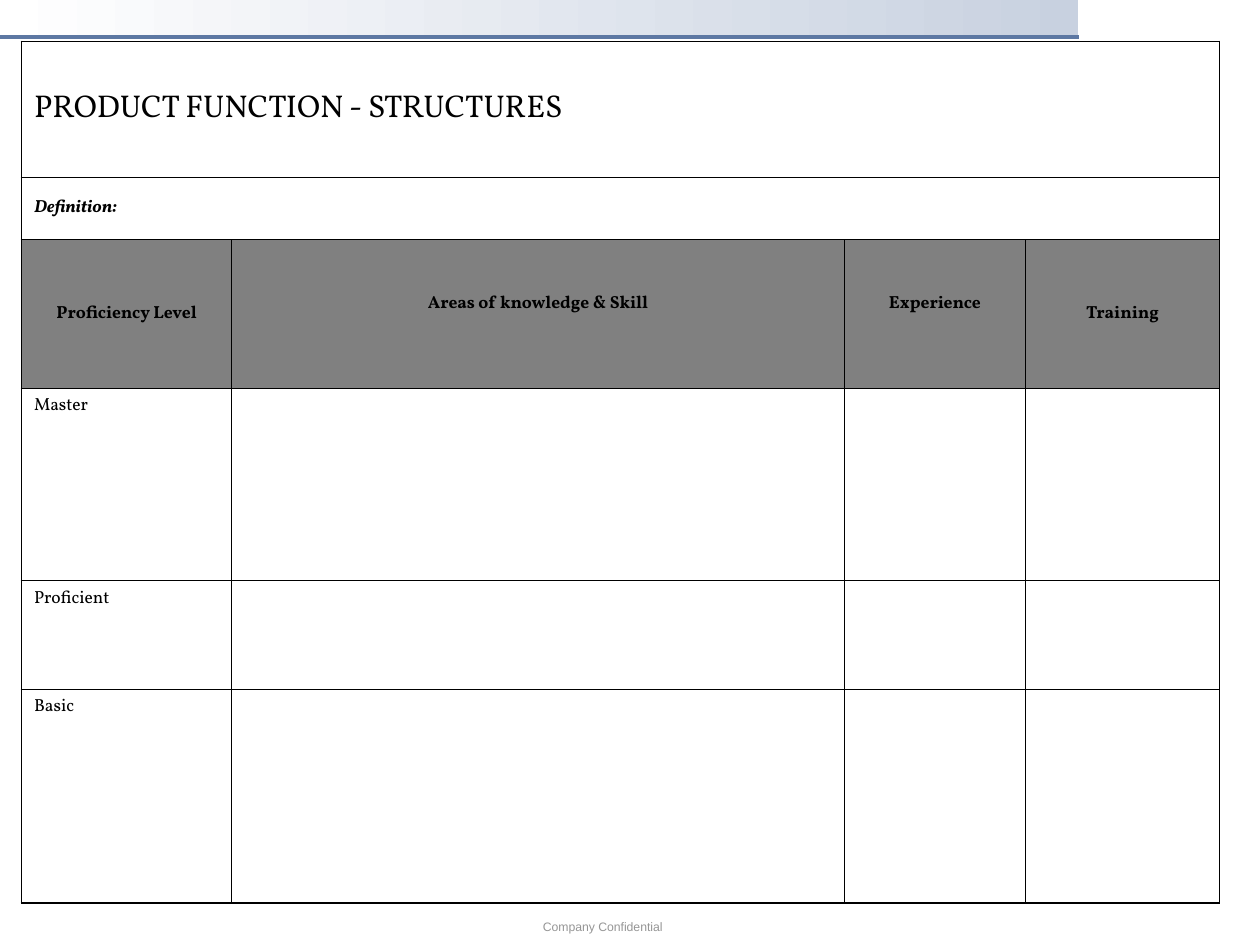
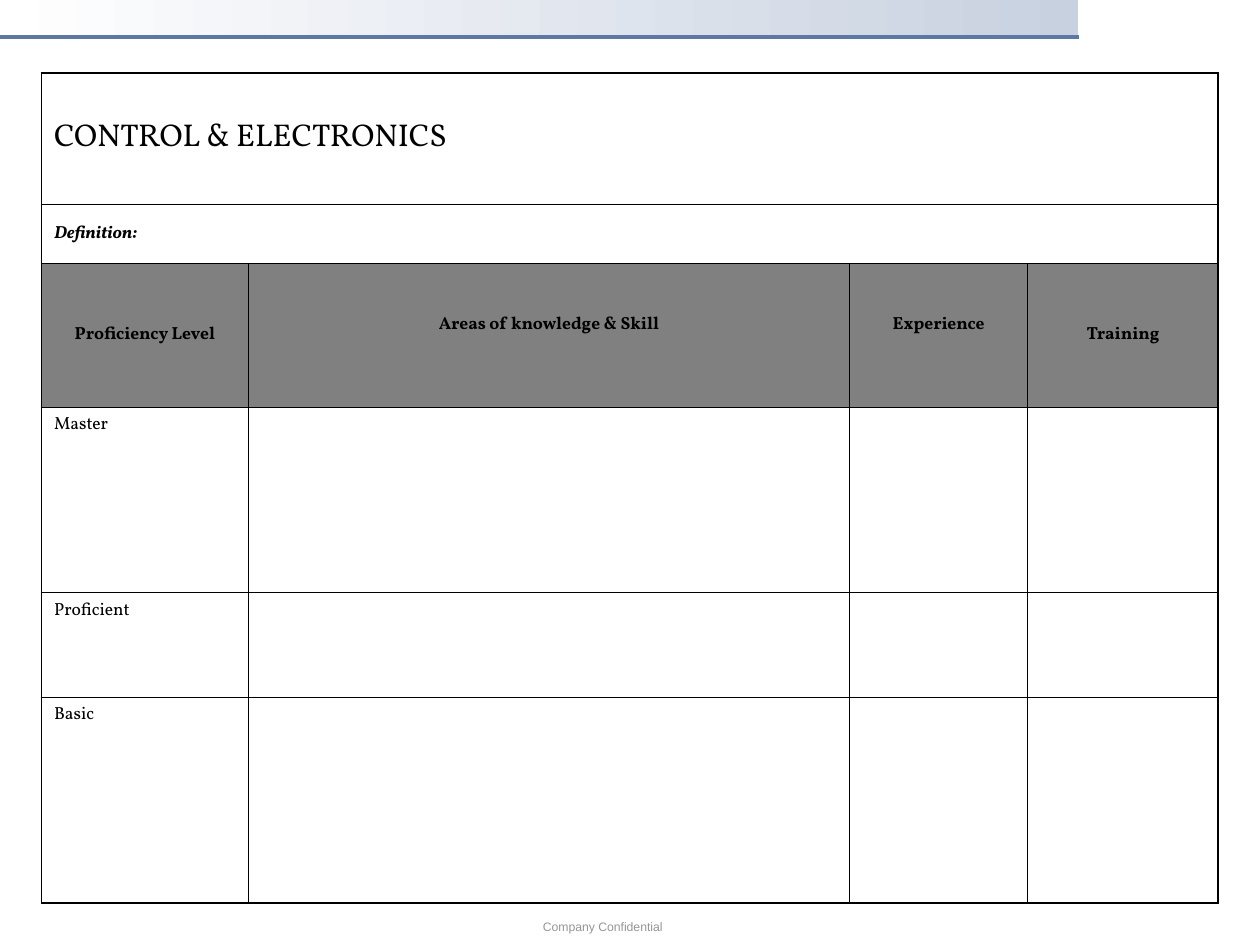
from pptx import Presentation
from pptx.dml.color import RGBColor as RGB
from pptx.enum.shapes import MSO_CONNECTOR as CONN, MSO_SHAPE as SHAPE
from pptx.enum.text import MSO_ANCHOR as ANCHOR, PP_ALIGN as ALIGN
from pptx.oxml import parse_xml
from pptx.oxml.ns import nsdecls
from pptx.util import Inches, Pt

W, H = Inches(10), Inches(7.5)
COL, ROW = W / 100, H / 100
COLORS = {"ink": "000000", "white": "FFFFFF", "band": "C8D1E0",
          "rule": "5D78A3", "head": "808080", "footer": "969696"}
BODY = {"name": "Vollkorn", "size": Pt(10)}
STYLES = {
    "title": {**BODY, "size": Pt(18)},
    "definition": {**BODY, "bold": True, "italic": True},
    "head": {**BODY, "bold": True},
    "level": BODY,
    "footer": {"name": "Arial", "size": Pt(7)},
}
COL_SHARES = (1.67, 4.86, 1.44, 1.54)
ROW_SHARES = (1.08, 0.49, 1.18, 1.53, 0.86, 1.7)
HEADS = ("Proficiency Level", "Areas of knowledge & Skill", "Experience", "Training")
RAISED = HEADS[1:3]
LEVELS = ("Master", "Proficient", "Basic")
TABLES = (
    ("PRODUCT FUNCTION - STRUCTURES", (1.7, 4.4, 95.1, 91.2)),
    ("CONTROL & ELECTRONICS", (3.3, 7.73, 93.4, 87.87)),
)


def color(key):
    """Return the named colour."""
    return RGB.from_string(COLORS[key])


def place(box):
    """Turn a box in grid columns and rows into slide lengths."""
    x, y, w, h = box
    return int(x * COL), int(y * ROW), int(w * COL), int(h * ROW)


def assign(obj, values):
    """Set each named attribute on an object."""
    for name, value in values.items():
        setattr(obj, name, value)


def write(tf, text, style, ink="ink", align=ALIGN.LEFT):
    """Write one styled paragraph into a text frame."""
    p = tf.paragraphs[0]
    p.alignment = align
    r = p.add_run()
    r.text = text
    assign(r.font, STYLES[style])
    r.font.color.rgb = color(ink)


def add_band(s, box):
    """Draw the gradient band with its rule along the lower edge."""
    x, y, w, h = place(box)
    sp = s.shapes.add_shape(SHAPE.RECTANGLE, x, y, w, h)
    sp.shadow.inherit = False
    sp.line.fill.background()
    sp.fill.gradient()
    sp.fill.gradient_angle = 0
    for stop, key in zip(sp.fill.gradient_stops, ("white", "band")):
        stop.color.rgb = color(key)
    rule = s.shapes.add_connector(CONN.STRAIGHT, x, y + h, x + w, y + h)
    rule.line.color.rgb = color("rule")
    rule.line.width = Pt(2.25)
    rule._element.spPr.append(parse_xml(f"<a:effectLst {nsdecls('a')}/>"))


def add_footer(s, box):
    """Write the confidentiality footer."""
    tf = s.shapes.add_textbox(*place(box)).text_frame
    tf.word_wrap = True
    write(tf, "Company Confidential", "footer", "footer")


def set_borders(cell, outer):
    """Draw cell borders, heavier on the sides that are outer."""
    tcPr = cell._tc.get_or_add_tcPr()
    for side in "LRTB":
        width = Pt(1.08 if outer[side] else 0.45)
        tcPr.append(parse_xml(
            f'<a:ln{side} {nsdecls("a")} w="{width}"><a:solidFill>'
            f'<a:srgbClr val="{COLORS["ink"]}"/></a:solidFill></a:ln{side}>'))


def add_matrix(s, title, box):
    """Build the proficiency table in its box."""
    x, y, w, h = place(box)
    rows, cols = len(ROW_SHARES), len(COL_SHARES)
    table = s.shapes.add_table(rows, cols, x, y, w, h).table
    assign(table, {"first_row": False, "horz_banding": False})
    for col, share in zip(table.columns, COL_SHARES):
        col.width = int(w * share / sum(COL_SHARES))
    for row, share in zip(table.rows, ROW_SHARES):
        row.height = int(h * share / sum(ROW_SHARES))
    for i in range(2):
        table.cell(i, 0).merge(table.cell(i, cols - 1))
    for i in range(rows):
        for j in range(cols):
            cell = table.cell(i, j)
            if not cell.is_spanned:
                set_borders(cell, {"L": j == 0, "R": j + cell.span_width == cols,
                                   "T": i == 0, "B": i == rows - 1})
            cell.fill.background()
    for i, (text, style) in enumerate(((title, "title"), ("Definition:", "definition"))):
        cell = table.cell(i, 0)
        cell.vertical_anchor = ANCHOR.MIDDLE
        write(cell.text_frame, text, style, align=ALIGN.JUSTIFY)
    for j, text in enumerate(HEADS):
        cell = table.cell(2, j)
        cell.fill.solid()
        cell.fill.fore_color.rgb = color("head")
        assign(cell, {"vertical_anchor": ANCHOR.MIDDLE,
                      "margin_bottom": Inches(0.21 if text in RAISED else 0.05)})
        write(cell.text_frame, text, "head", align=ALIGN.CENTER)
    for i, text in enumerate(LEVELS, 3):
        write(table.cell(i, 0).text_frame, text, "level")


def main():
    """Build and save the presentation."""
    prs = Presentation()
    assign(prs, {"slide_width": W, "slide_height": H})
    for title, box in TABLES:
        s = prs.slides.add_slide(prs.slide_layouts[6])
        add_band(s, (0, 0, 85.6, 3.9))
        add_footer(s, (42.1, 96.67, 15.6, 2.93))
        add_matrix(s, title, box)
    prs.save("out.pptx")


if __name__ == "__main__":
    main()
